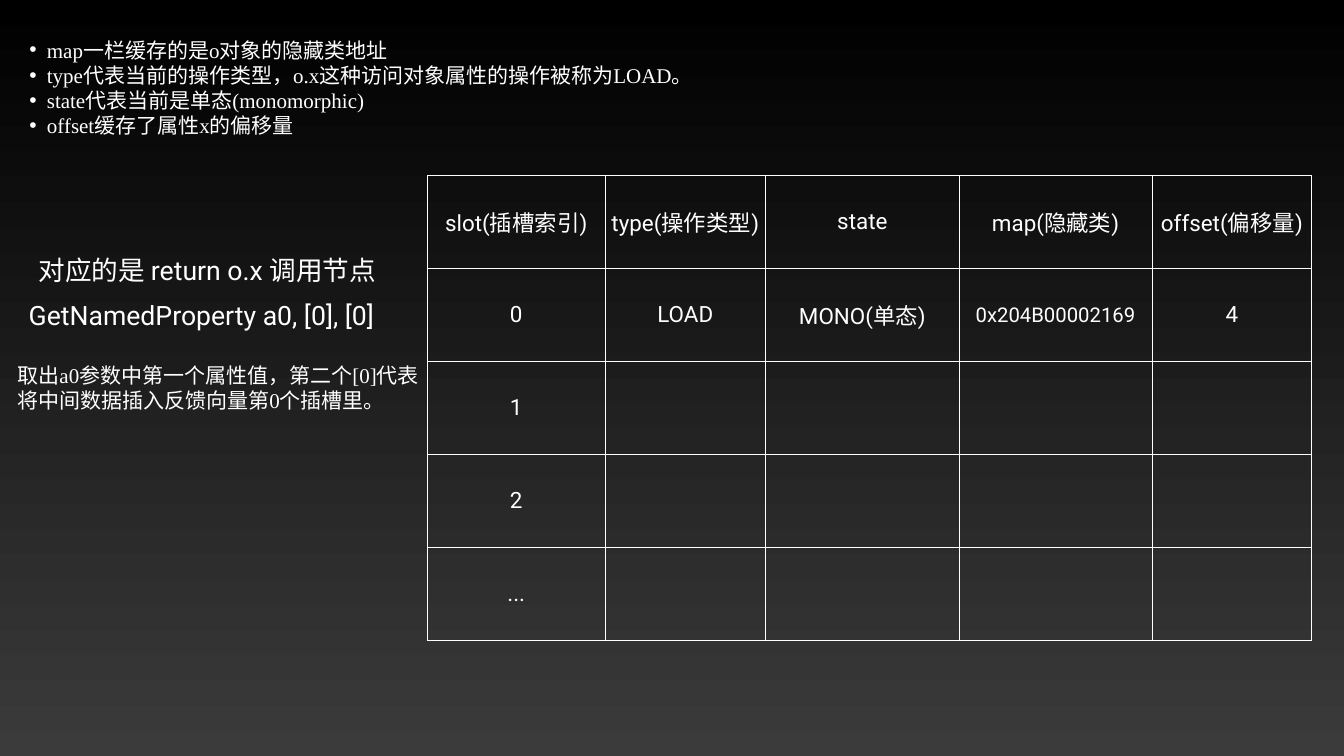
from lxml.etree import SubElement
from pptx import Presentation
from pptx.dml.color import RGBColor
from pptx.enum.text import MSO_ANCHOR as Anchor, MSO_AUTO_SIZE as AutoSize, PP_ALIGN as Align
from pptx.oxml.ns import qn
from pptx.util import Pt

WHITE = RGBColor(0xFF, 0xFF, 0xFF)
BLACK = RGBColor(0x00, 0x00, 0x00)
CHARCOAL = RGBColor(0x3B, 0x3B, 0x3B)
SANS, SERIF = "Roboto", "Times New Roman"
INSET = Pt(4)

COLUMN_WIDTHS = [253, 230, 276, 276, 228]
ROW_HEIGHT = 132.8
FEEDBACK_SLOTS = [
    ["slot(插槽索引)", "type(操作类型)", "state", "map(隐藏类)", "offset(偏移量)"],
    ["0", "LOAD", "MONO(单态)", "0x204B00002169", "4"],
    ["1", "", "", "", ""],
    ["2", "", "", "", ""],
    ["...", "", "", "", ""],
]
FIELD_NOTES = [
    "map一栏缓存的是o对象的隐藏类地址",
    "type代表当前的操作类型，o.x这种访问对象属性的操作被称为LOAD。",
    "state代表当前是单态(monomorphic)",
    "offset缓存了属性x的偏移量",
]


def set_background(slide):
    fill = slide.background.fill
    fill.gradient()
    fill.gradient_angle = 270
    for stop, color in zip(fill.gradient_stops, (BLACK, CHARCOAL)):
        stop.color.rgb = color


def set_insets(target):
    """Give a text frame or a table cell the same small margin on all sides."""
    target.margin_left = target.margin_right = INSET
    target.margin_top = target.margin_bottom = INSET
    target.vertical_anchor = Anchor.MIDDLE


def add_run(p, text, size, font):
    r = p.add_run()
    r.text = text
    r.font.size = Pt(size)
    r.font.name = font
    r.font.color.rgb = WHITE


def format_frame(tf):
    set_insets(tf)
    tf.word_wrap = True
    tf.auto_size = AutoSize.NONE


def add_text(slide, left, top, width, height, text, size, font):
    sp = slide.shapes.add_textbox(Pt(left), Pt(top), Pt(width), Pt(height))
    format_frame(sp.text_frame)
    add_run(sp.text_frame.paragraphs[0], text, size, font)


def add_bullet(p):
    pPr = p._p.get_or_add_pPr()
    pPr.set("marL", str(Pt(36)))
    pPr.set("indent", str(-Pt(25)))
    color = SubElement(pPr, qn("a:buClr"))
    SubElement(color, qn("a:srgbClr"), val=str(WHITE))
    SubElement(pPr, qn("a:buChar"), char="•")


def fill_notes(body, notes):
    body.left, body.top, body.width, body.height = Pt(27), Pt(37), Pt(968), Pt(176)
    tf = body.text_frame
    format_frame(tf)
    for i, note in enumerate(notes):
        p = tf.add_paragraph() if i else tf.paragraphs[0]
        add_bullet(p)
        p.alignment = Align.LEFT
        p.space_before = Pt(0)
        add_run(p, note, 30, SERIF)


def add_borders(cell):
    tcPr = cell._tc.get_or_add_tcPr()
    for i, side in enumerate(("a:lnL", "a:lnR", "a:lnT", "a:lnB")):
        ln = tcPr.makeelement(qn(side), {"w": str(Pt(1))})
        fill = SubElement(ln, qn("a:solidFill"))
        SubElement(fill, qn("a:srgbClr"), val=str(WHITE))
        tcPr.insert(i, ln)


def add_slot_table(slide, left, top, rows):
    frame = slide.shapes.add_table(
        len(rows), len(COLUMN_WIDTHS), Pt(left), Pt(top),
        Pt(sum(COLUMN_WIDTHS)), Pt(ROW_HEIGHT * len(rows)))
    table = frame.table
    table.first_row = table.horz_banding = False
    for column, width in zip(table.columns, COLUMN_WIDTHS):
        column.width = Pt(width)
    for row, texts in zip(table.rows, rows):
        row.height = Pt(ROW_HEIGHT)
        for cell, text in zip(row.cells, texts):
            cell.fill.background()
            add_borders(cell)
            set_insets(cell)
            if text:
                p = cell.text_frame.paragraphs[0]
                p.alignment = Align.CENTER
                add_run(p, text, 29 if text.startswith("0x") else 32, SANS)


def main():
    prs = Presentation()
    prs.slide_width, prs.slide_height = Pt(1920), Pt(1080)
    slide = prs.slides.add_slide(prs.slide_layouts[1])
    title = slide.shapes.title
    title._element.getparent().remove(title._element)

    set_background(slide)
    fill_notes(slide.placeholders[1], FIELD_NOTES)
    add_slot_table(slide, 611, 251, FEEDBACK_SLOTS)
    add_text(slide, 37, 420, 526, 60, "GetNamedProperty a0, [0], [0]", 38, SANS)
    add_text(slide, 51, 354, 497, 62, "对应的是 return o.x 调用节点", 38, SANS)
    add_text(slide, 21, 508, 593, 92,
             "取出a0参数中第一个属性值，第二个[0]代表将中间数据插入反馈向量第0个插槽里。",
             30, SERIF)
    prs.save("out.pptx")


if __name__ == "__main__":
    main()
